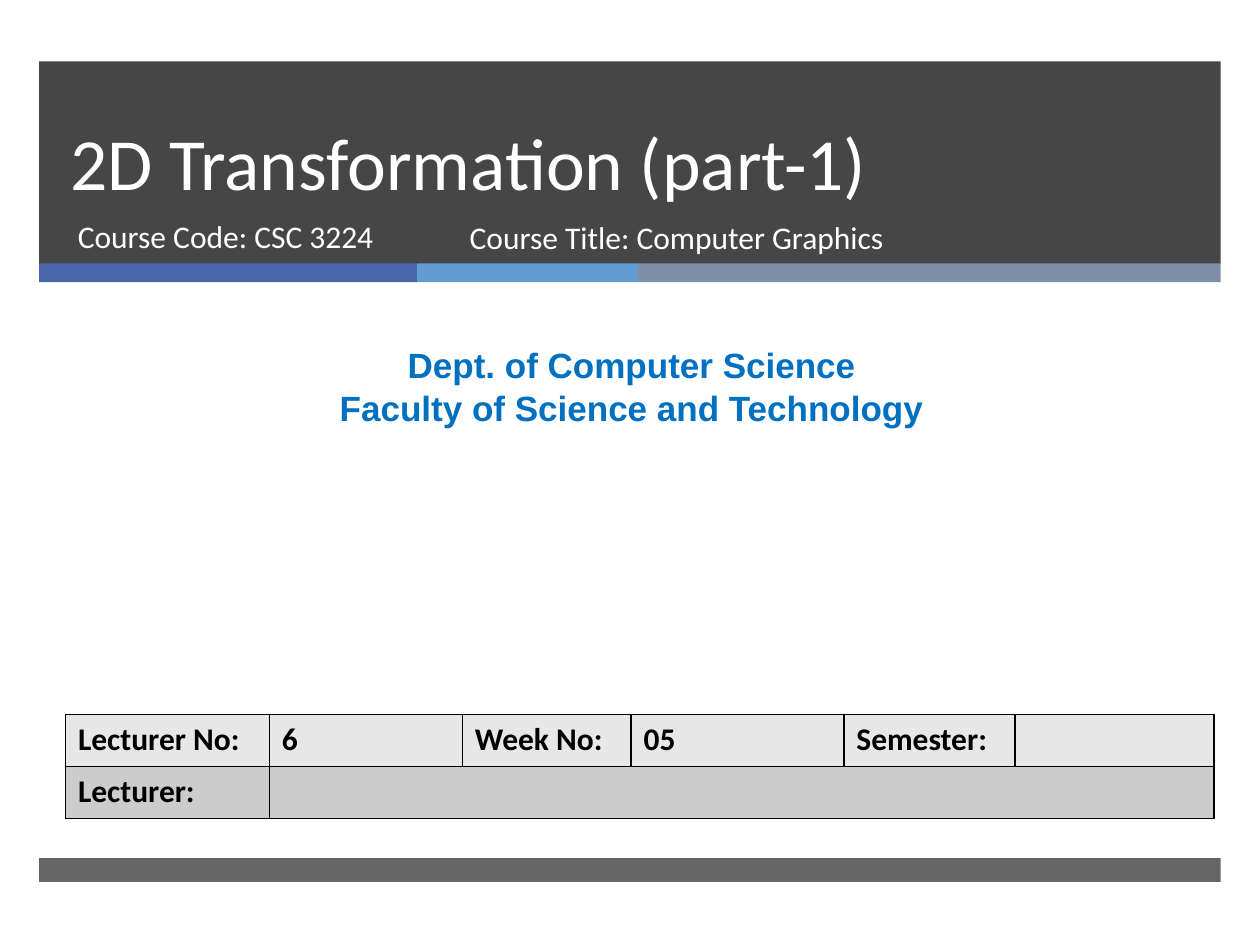
from pptx import Presentation
from pptx.dml.color import RGBColor as RGB
from pptx.enum.shapes import MSO_SHAPE as Shape
from pptx.enum.text import MSO_ANCHOR as Anchor, PP_ALIGN as Align
from pptx.oxml.ns import qn
from pptx.util import Cm, Pt
from lxml.etree import SubElement

WHITE = RGB(0xFF, 0xFF, 0xFF)
BLACK = RGB(0, 0, 0)
DARK = RGB(0x26, 0x26, 0x26)
BLUE = RGB(0x00, 0x70, 0xC0)

# Content
TITLE = "2D Transformation (part-1)"
CODE = "Course Code: CSC 3224"
COURSE = "Course Title: Computer Graphics"
DEPT = ["Dept. of Computer Science", "Faculty of Science and Technology"]
ROWS = [
    (["Lecturer No:", "6", "Week No:", "05", "Semester:", ""], RGB(0xE7, 0xE7, 0xE7)),
    (["Lecturer:", "", "", "", "", ""], RGB(0xCC, 0xCC, 0xCC)),
]
COLS = [4.11, 3.89, 3.4, 4.29, 3.45, 4.01]
ROW_H = 1.05
STRIPES = [  # width, colour
    (7.62, RGB(0x4A, 0x66, 0xAC)),
    (4.45, RGB(0x62, 0x9D, 0xD1)),
    (11.75, RGB(0x7F, 0x8F, 0xA9)),
]
LEFT = 0.79
WIDTH = sum(w for w, _ in STRIPES)

deck = Presentation()
deck.slide_width, deck.slide_height = Cm(25.4), Cm(19.05)
slide = deck.slides.add_slide(deck.slide_layouts[6])


def add_bar(x, y, w, h, color, alpha=None):
    bar = slide.shapes.add_shape(Shape.RECTANGLE, Cm(x), Cm(y), Cm(w), Cm(h))
    bar.shadow.inherit = False
    bar.fill.solid()
    bar.fill.fore_color.rgb = color
    bar.line.fill.background()
    if alpha:
        clr = bar._element.spPr.find(qn("a:solidFill"))[0]
        SubElement(clr, qn("a:alpha")).set("val", str(alpha * 1000))


def put_text(frame, lines, size=18, font="Calibri", color=WHITE, bold=False,
             align=Align.LEFT, anchor=Anchor.TOP, space=None):
    frame.word_wrap = True
    frame.vertical_anchor = anchor
    for i, line in enumerate(lines):
        para = frame.paragraphs[0] if i == 0 else frame.add_paragraph()
        para.alignment = align
        if space:
            para.line_spacing = Pt(space)
        run = para.add_run()
        run.text = line
        run.font.size, run.font.name, run.font.bold = Pt(size), font, bold
        run.font.color.rgb = color


def add_text(x, y, w, h, *lines, **style):
    box = slide.shapes.add_textbox(Cm(x), Cm(y), Cm(w), Cm(h))
    put_text(box.text_frame, lines, **style)


def add_border(cell):
    props = cell._tc.get_or_add_tcPr()
    for i, side in enumerate(("lnL", "lnR", "lnT", "lnB")):
        line = props.makeelement(qn("a:" + side), {"w": str(Pt(1))})
        fill = SubElement(line, qn("a:solidFill"))
        SubElement(fill, qn("a:srgbClr")).set("val", str(BLACK))
        props.insert(i, line)


# Header, stripes and footer
add_bar(LEFT, 1.24, WIDTH, 4.09, DARK, alpha=85)
x = LEFT
for w, color in STRIPES:
    add_bar(x, 5.31, w, 0.38, color)
    x += w
add_bar(LEFT, 17.3, WIDTH, 0.48, DARK, alpha=70)

# Titles
add_text(1.17, 1.24, 21.69, 3.02, TITLE, size=42, anchor=Anchor.BOTTOM, space=46)
add_text(1.32, 4.26, 7.75, 1.35, CODE)
add_text(9.22, 4.28, 11.56, 1.35, COURSE)
add_text(0.2, 6.81, 25.07, 1.96, *DEPT, size=20, font="Arial", color=BLUE,
         bold=True, align=Align.CENTER)

# Lecture table
table = slide.shapes.add_table(len(ROWS), len(COLS), Cm(1.32), Cm(14.4),
                               Cm(sum(COLS)), Cm(ROW_H * len(ROWS))).table
for col, w in zip(table.columns, COLS):
    col.width = Cm(w)
for r, (words, color) in enumerate(ROWS):
    table.rows[r].height = Cm(ROW_H)
    for c, word in enumerate(words):
        cell = table.cell(r, c)
        cell.fill.solid()
        cell.fill.fore_color.rgb = color
        add_border(cell)
        if word:
            put_text(cell.text_frame, [word], color=BLACK, bold=True)
table.cell(1, 1).merge(table.cell(1, 5))

deck.save("out.pptx")
